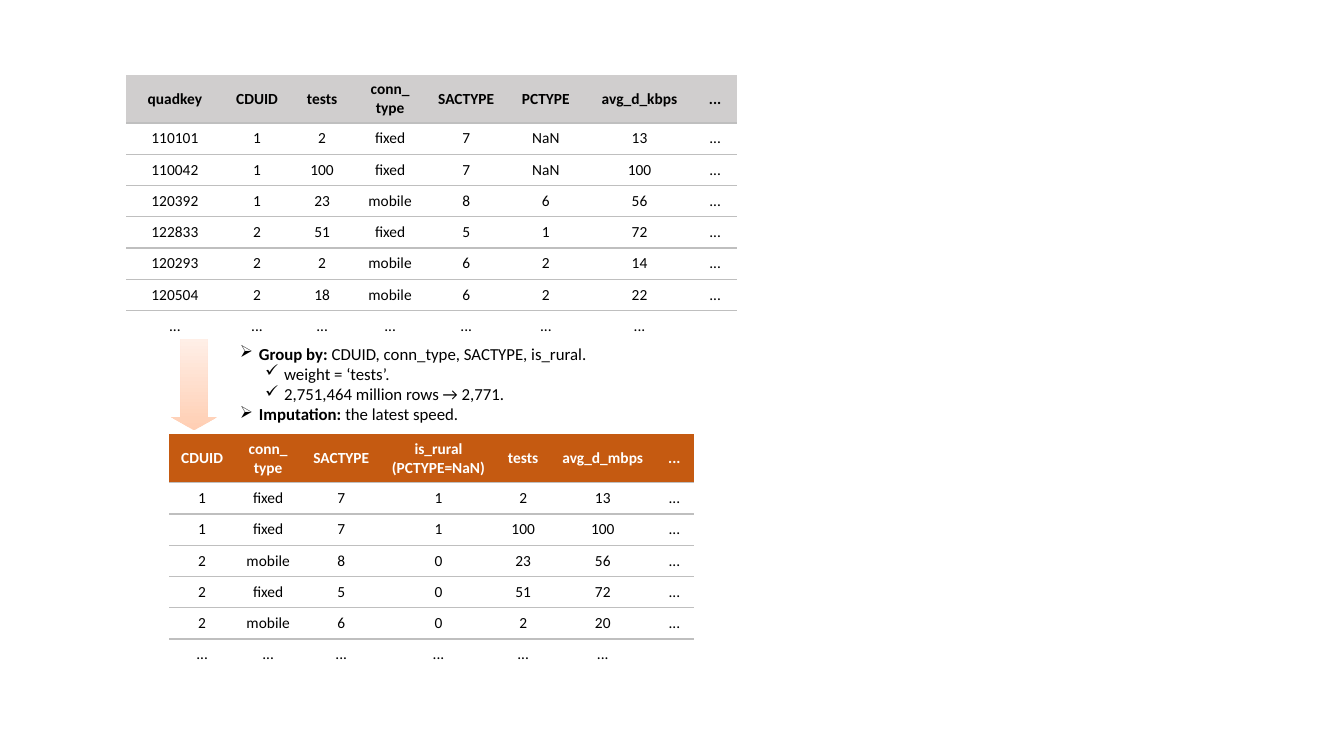
from lxml import etree
from pptx import Presentation
from pptx import util as u
from pptx.dml.color import RGBColor
from pptx.enum import shapes, text
from pptx.oxml.ns import qn

COLORS = {
    "black": "000000",
    "white": "FFFFFF",
    "gray": "D0CECE",
    "orange": "C55A11",
    "rule": "BFBFBF",
    "arrow_dark": "FFCEB3",
    "arrow_light": "FFEFE7",
}
NO_STYLE_ID = "{2D5ABB26-0587-4C30-8999-92F81FD0307C}"
ROW_HEIGHT = 0.31
HEADER_HEIGHT = 0.48

SOURCE_WIDTHS = [0.97, 0.66, 0.63, 0.72, 0.79, 0.79, 1.07, 0.43]
SOURCE_ROWS = [
    ["quadkey", "CDUID", "tests", "conn_\vtype", "SACTYPE", "PCTYPE", "avg_d_kbps", "..."],
    ["110101", "1", "2", "fixed", "7", "NaN", "13", "..."],
    ["110042", "1", "100", "fixed", "7", "NaN", "100", "..."],
    ["120392", "1", "23", "mobile", "8", "6", "56", "..."],
    ["122833", "2", "51", "fixed", "5", "1", "72", "..."],
    ["120293", "2", "2", "mobile", "6", "2", "14", "..."],
    ["120504", "2", "18", "mobile", "6", "2", "22", "..."],
    ["..."] * 7 + [""],
]
GROUPED_WIDTHS = [0.65, 0.66, 0.79, 1.14, 0.54, 1.04, 0.38]
GROUPED_ROWS = [
    ["CDUID", "conn_\vtype", "SACTYPE", "is_rural\n(PCTYPE=NaN)", "tests", "avg_d_mbps", "..."],
    ["1", "fixed", "7", "1", "2", "13", "..."],
    ["1", "fixed", "7", "1", "100", "100", "..."],
    ["2", "mobile", "8", "0", "23", "56", "..."],
    ["2", "fixed", "5", "0", "51", "72", "..."],
    ["2", "mobile", "6", "0", "2", "20", "..."],
    ["..."] * 6 + [""],
]
# Each step: indent level, bullet, bold lead, plain text
STEPS = [
    (0, "➢", "Group by:", " CDUID, conn_type, SACTYPE, is_rural."),
    (1, "✓", "", "weight = ‘tests’."),
    (1, "✓", "", "2,751,464 million rows → 2,771."),
    (0, "➢", "Imputation:", " the latest speed."),
]


def rgb(name):
    return RGBColor.from_string(COLORS[name])


def write(paragraph, content, size=11, bold=False, color="black", font="Calibri"):
    """Append formatted text; a vertical tab starts a new line."""
    for index, line in enumerate(content.split("\v")):
        if index:
            paragraph.add_line_break()
        run = paragraph.add_run()
        run.text = line
        run.font.name = font
        run.font.size = u.Pt(size)
        run.font.bold = bold
        run.font.color.rgb = rgb(color)


def add_rule(cell, side):
    """Draw a thin line on one side of a cell ('T' or 'B')."""
    properties = cell._tc.get_or_add_tcPr()
    line = etree.Element(qn(f"a:ln{side}"), w=str(u.Pt(1)))
    fill = etree.SubElement(line, qn("a:solidFill"))
    etree.SubElement(fill, qn("a:srgbClr"), val=COLORS["rule"])
    # Borders come before the cell fill
    properties.insert(len(properties) - 1, line)


class SlideBuilder:
    def __init__(self, slide):
        self.slide = slide

    def table(self, left, top, widths, rows, header_fill, header_color):
        height = HEADER_HEIGHT + ROW_HEIGHT * (len(rows) - 1)
        frame = self.slide.shapes.add_table(
            len(rows), len(widths), u.Inches(left), u.Inches(top),
            u.Inches(sum(widths)), u.Inches(height))
        table = frame.table
        table.horz_banding = False
        table._tbl.tblPr.find(qn("a:tableStyleId")).text = NO_STYLE_ID
        for column, width in zip(table.columns, widths):
            column.width = u.Inches(width)
        last = len(rows) - 1
        for row_index, values in enumerate(rows):
            is_header = row_index == 0
            table.rows[row_index].height = u.Inches(HEADER_HEIGHT if is_header else ROW_HEIGHT)
            for column_index, value in enumerate(values):
                cell = table.cell(row_index, column_index)
                if is_header:
                    cell.fill.solid()
                    cell.fill.fore_color.rgb = rgb(header_fill)
                else:
                    cell.fill.background()
                    add_rule(cell, "T")
                if row_index < last:
                    add_rule(cell, "B")
                elif value:
                    cell._tc.get_or_add_tcPr().set("vert", "eaVert")
                self.cell_text(cell, value, bold=is_header,
                               color=header_color if is_header else "black")

    def cell_text(self, cell, value, **style):
        cell.vertical_anchor = text.MSO_ANCHOR.MIDDLE
        frame = cell.text_frame
        for index, line in enumerate(value.split("\n")):
            paragraph = frame.add_paragraph() if index else frame.paragraphs[0]
            paragraph.alignment = text.PP_ALIGN.CENTER
            if line:
                write(paragraph, line, **style)
            else:
                etree.SubElement(paragraph._p, qn("a:endParaRPr"), sz="1100")

    def down_arrow(self, left, top, width, height):
        shape = self.slide.shapes.add_shape(
            shapes.MSO_SHAPE.DOWN_ARROW, u.Inches(left), u.Inches(top),
            u.Inches(width), u.Inches(height))
        shape.shadow.inherit = False
        shape.adjustments[0] = 0.6
        shape.adjustments[1] = 0.29
        shape.line.fill.background()
        shape.fill.gradient()
        shape.fill.gradient_angle = 90
        for stop, color in zip(shape.fill.gradient_stops, ("arrow_dark", "arrow_light")):
            stop.color.rgb = rgb(color)

    def bullet_list(self, left, top, width, height, steps):
        box = self.slide.shapes.add_textbox(
            u.Inches(left), u.Inches(top), u.Inches(width), u.Inches(height))
        frame = box.text_frame
        frame.word_wrap = True
        for index, (level, bullet, lead, detail) in enumerate(steps):
            paragraph = frame.add_paragraph() if index else frame.paragraphs[0]
            paragraph.level = level
            properties = paragraph._p.get_or_add_pPr()
            properties.set("marL", str(u.Inches(0.19 + 0.25 * level)))
            properties.set("indent", str(u.Inches(-0.19)))
            etree.SubElement(properties, qn("a:buChar"), char=bullet)
            if lead:
                write(paragraph, lead, size=12, bold=True)
            write(paragraph, detail, size=12)


def main():
    presentation = Presentation()
    presentation.slide_width = u.Inches(13.33)
    presentation.slide_height = u.Inches(7.5)
    builder = SlideBuilder(presentation.slides.add_slide(presentation.slide_layouts[6]))
    builder.table(1.25, 0.74, SOURCE_WIDTHS, SOURCE_ROWS, "gray", "black")
    builder.table(1.68, 4.31, GROUPED_WIDTHS, GROUPED_ROWS, "orange", "white")
    builder.down_arrow(1.7, 3.36, 0.45, 0.91)
    builder.bullet_list(2.28, 3.36, 4.02, 0.91, STEPS)
    presentation.save("out.pptx")


if __name__ == "__main__":
    main()
